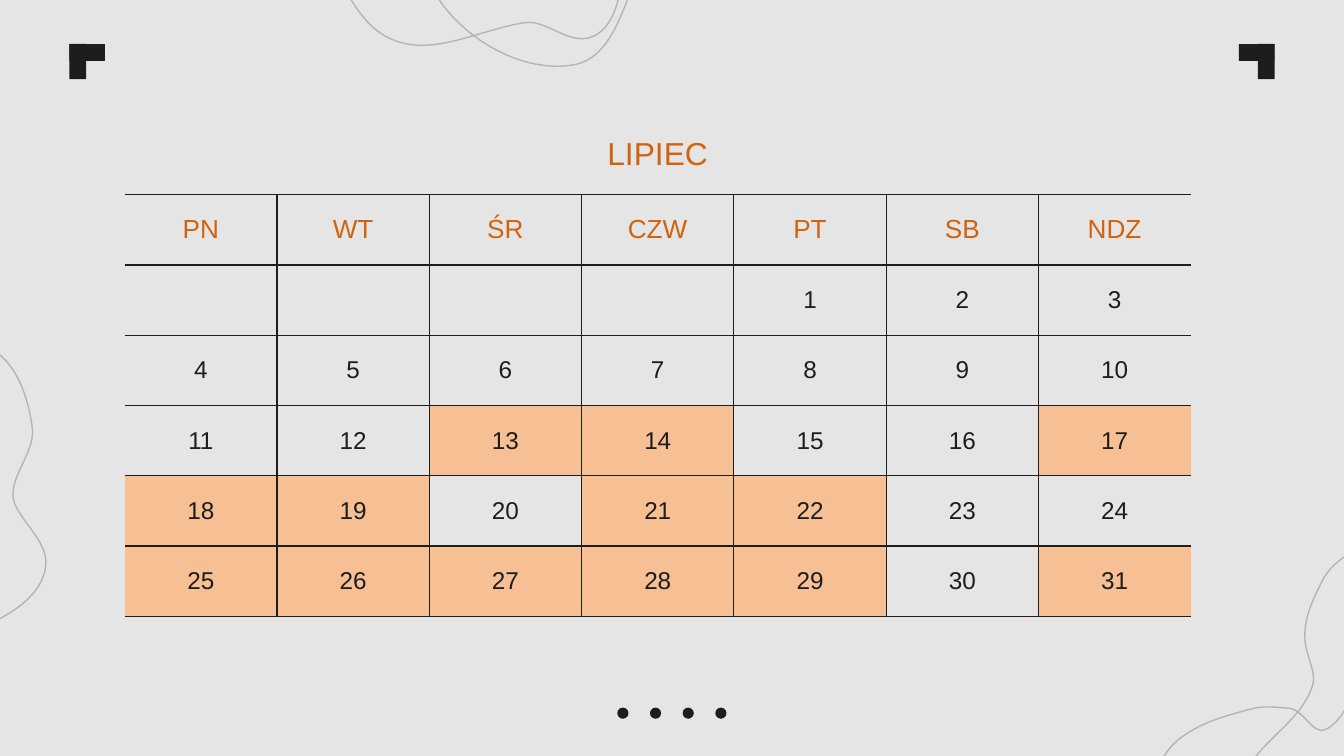
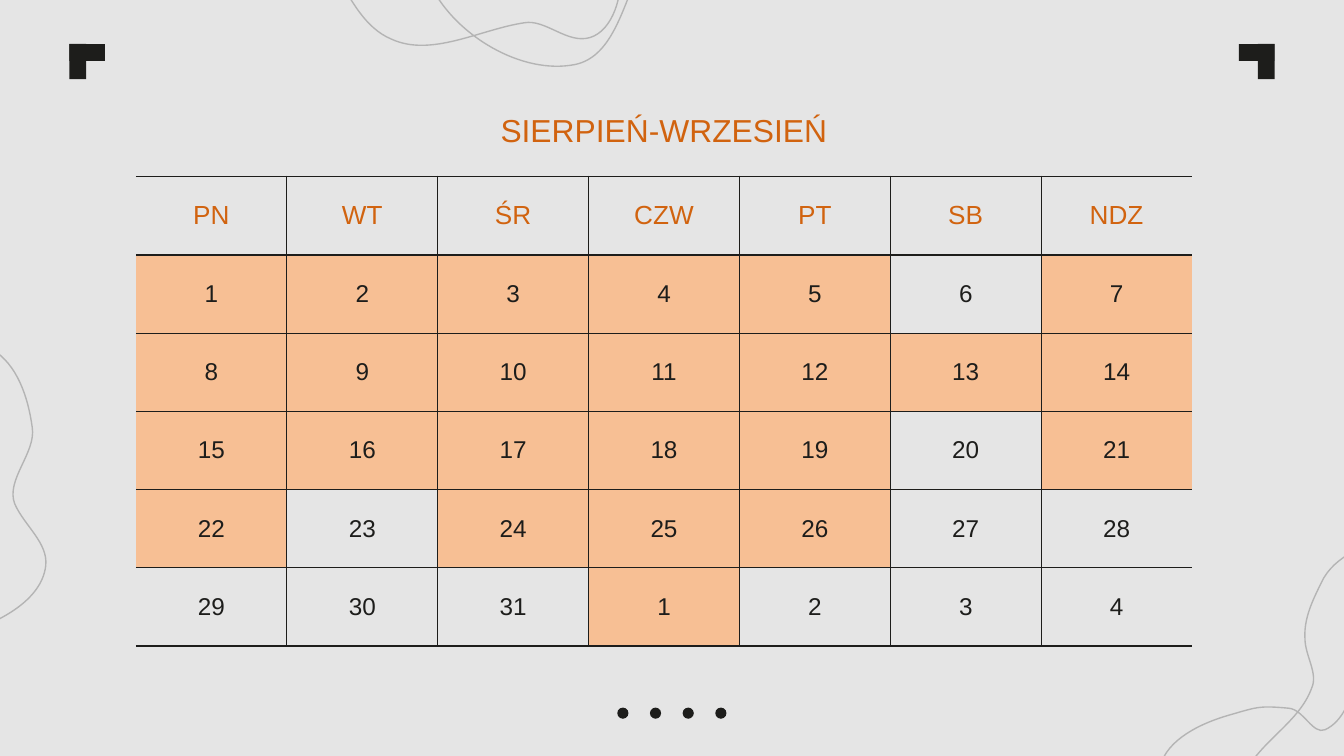
from dataclasses import dataclass
from typing import Any, Optional

import pptx
import pptx.dml.color
import pptx.enum.shapes
import pptx.enum.text
import pptx.oxml.ns
import pptx.util
from lxml import etree

RGBColor = pptx.dml.color.RGBColor
MSO_SHAPE = pptx.enum.shapes.MSO_SHAPE
qn = pptx.oxml.ns.qn

PAPER = RGBColor(0xE5, 0xE5, 0xE5)
INK = RGBColor(0x1D, 0x1D, 0x1B)
ORANGE = RGBColor(0xD1, 0x63, 0x0F)
PEACH = RGBColor(0xF7, 0xBF, 0x94)
GREY = RGBColor(0xB4, 0xB4, 0xB4)

SLIDE_W = pptx.util.Inches(10)
SLIDE_H = pptx.util.Inches(5.625)
GRID_COLS = 100
GRID_ROWS = 56.25
LINE_W = pptx.util.Pt(0.75)
WEEKDAYS = ("PN", "WT", "ŚR", "CZW", "PT", "SB", "NDZ")
WEEKS = 5
MONTH_LENGTH = 31


@dataclass(frozen=True)
class Mark:
    shape: Any
    col: float
    row: float
    cols: float
    rows: float
    rotation: float = 0


@dataclass(frozen=True)
class Calendar:
    title: str
    col: float
    row: float
    cols: float
    title_rows: float
    header_rows: float
    week_rows: float
    first_day: int
    marked: frozenset[int]


@dataclass(frozen=True)
class TextStyle:
    size: float
    color: RGBColor


TITLE = TextStyle(17, ORANGE)
WEEKDAY = TextStyle(14, ORANGE)
DAY = TextStyle(13, INK)

RIGHT_CORNER = (
    Mark(MSO_SHAPE.RECTANGLE, 93.6, 3.27, 1.25, 2.63),
    Mark(MSO_SHAPE.RECTANGLE, 92.88, 2.58, 1.25, 2.65, 270),
)
LEFT_CORNER = (
    Mark(MSO_SHAPE.RECTANGLE, 5.16, 3.27, 1.25, 2.63),
    Mark(MSO_SHAPE.RECTANGLE, 5.86, 2.58, 1.25, 2.65, 90),
)
DOTS = tuple(Mark(MSO_SHAPE.OVAL, 45.93 + 2.43 * i, 52.65, 0.83, 0.83)
             for i in range(4))

CURVES = (
    ((-4.3, 24.6), (-2.4, 25.3), (-2.3, 25.1), (-0.6, 26), (1.3, 27.1),
     (2.1, 29.6), (2.4, 31.8), (2.7, 33.7), (0.4, 35.7), (1.1, 37.5),
     (1.8, 39.1), (3.6, 40.4), (3.4, 42.1), (3.1, 44.7), (-0.1, 46.3),
     (-2.6, 47.1)),
    ((25.1, -1.8), (26.1, 0), (27.2, 2.1), (29.1, 2.9), (32.1, 4.3),
     (35.7, 2.2), (39, 1.7), (40.6, 1.4), (42.2, 3.3), (43.9, 2.8),
     (45.6, 2.3), (46.4, -0.4), (46.1, -2.2)),
    ((32.1, -1), (33.9, 2.6), (38.8, 5.6), (42.8, 4.8), (45.7, 4.2),
     (46.4, 0.2), (47.7, -2.4)),
    ((104.3, 39.3), (102.3, 40.4), (99.7, 41), (98.5, 43), (97.8, 44.4),
     (97, 45.9), (97.1, 47.5), (97.1, 48.8), (98.1, 50.1), (97.6, 51.2),
     (96.7, 53.7), (93.9, 55.1), (92.7, 57.4)),
    ((86.5, 59.4), (86.4, 58.2), (85.9, 58.2), (86.3, 57.1), (86.8, 55),
     (89.4, 53.8), (91.5, 53.2), (93.6, 52.6), (93.7, 52.5), (95.9, 52.7),
     (97, 52.8), (97.7, 54.7), (98.6, 54.3), (99.9, 53.7), (100.6, 52),
     (100.7, 50.6)),
)

CALENDARS = (
    Calendar("LIPIEC", 9.28, 8.52, 79.33, 5.94, 5.26, 5.23, -3,
             frozenset({13, 14, 17, 18, 19, 21, 22, *range(25, 30), 31})),
    Calendar("SIERPIEŃ-WRZESIEŃ", 10.12, 6.47, 78.58, 6.65, 5.86, 5.82, 1,
             frozenset({*range(1, 6), *range(7, 20), 21, 22, 24, 25, 26, 32})),
)


def x(cols: float) -> pptx.util.Emu:
    return pptx.util.Emu(round(SLIDE_W * cols / GRID_COLS))


def y(rows: float) -> pptx.util.Emu:
    return pptx.util.Emu(round(SLIDE_H * rows / GRID_ROWS))


def apply(target: Any, values: dict[str, Any]) -> None:
    for name, value in values.items():
        setattr(target, name, value)


def draw_mark(s: Any, mark: Mark) -> None:
    sp = s.shapes.add_shape(mark.shape, x(mark.col), y(mark.row),
                            x(mark.cols), y(mark.rows))
    sp.shadow.inherit = False
    sp.rotation = mark.rotation
    sp.fill.solid()
    sp.fill.fore_color.rgb = INK
    sp.line.fill.background()


def draw_curve(s: Any, nodes: tuple[tuple[float, float], ...]) -> None:
    points = [(x(col), y(row)) for col, row in nodes]
    builder = s.shapes.build_freeform(*points[0])
    builder.add_line_segments(points[3::3], close=False)
    sp = builder.convert_to_shape()
    segments = list(sp._element.iter(qn("a:lnTo")))
    for i, segment in enumerate(segments):
        segment.tag = qn("a:cubicBezTo")
        for k, (px, py) in enumerate(points[3 * i + 1:3 * i + 3]):
            pt = etree.Element(qn("a:pt"), x=str(px - sp.left),
                               y=str(py - sp.top))
            segment.insert(k, pt)
    sp.shadow.inherit = False
    sp.fill.background()
    sp.line.color.rgb = GREY
    sp.line.width = LINE_W


def set_borders(cell: Any, visible: str) -> None:
    tcPr = cell._tc.get_or_add_tcPr()
    for side in "LRTB":
        ln = etree.SubElement(tcPr, qn(f"a:ln{side}"), w=str(int(LINE_W)))
        if side in visible:
            fill = etree.SubElement(ln, qn("a:solidFill"))
            etree.SubElement(fill, qn("a:srgbClr"), val=str(INK))
        else:
            etree.SubElement(ln, qn("a:noFill"))


def fill_cell(cell: Any, text: str, style: TextStyle, borders: str,
              fill: Optional[RGBColor] = None) -> None:
    set_borders(cell, borders)
    if fill is None:
        cell.fill.background()
    else:
        cell.fill.solid()
        cell.fill.fore_color.rgb = fill
    inset_x, inset_y = x(1), y(0.9)
    apply(cell, {"vertical_anchor": pptx.enum.text.MSO_ANCHOR.MIDDLE,
                 "margin_left": inset_x, "margin_right": inset_x,
                 "margin_top": inset_y, "margin_bottom": inset_y})
    if text:
        p = cell.text_frame.paragraphs[0]
        p.alignment = pptx.enum.text.PP_ALIGN.CENTER
        r = p.add_run()
        r.text = text
        apply(r.font, {"name": "Arial", "size": pptx.util.Pt(style.size)})
        r.font.color.rgb = style.color


def draw_calendar(s: Any, cal: Calendar) -> None:
    days = len(WEEKDAYS)
    heights = [cal.title_rows, cal.header_rows] + [cal.week_rows] * WEEKS
    tbl = s.shapes.add_table(len(heights), days, x(cal.col), y(cal.row),
                             x(cal.cols), y(sum(heights))).table
    apply(tbl, {"first_row": False, "horz_banding": False})
    for column in tbl.columns:
        column.width = x(cal.cols / days)
    for row, height in zip(tbl.rows, heights):
        row.height = y(height)

    tbl.cell(0, 0).merge(tbl.cell(0, days - 1))
    for j, weekday in enumerate(WEEKDAYS):
        fill_cell(tbl.cell(0, j), "" if j else cal.title, TITLE, "B")
        borders = "TB" + ("L" if j else "") + ("R" if j < days - 1 else "")
        fill_cell(tbl.cell(1, j), weekday, WEEKDAY, borders)
        for week in range(WEEKS):
            day = cal.first_day + week * days + j
            label = str((day - 1) % MONTH_LENGTH + 1) if day > 0 else ""
            fill_cell(tbl.cell(week + 2, j), label, DAY, borders,
                      PEACH if day in cal.marked else None)


def draw_frame(s: Any) -> None:
    s.background.fill.solid()
    s.background.fill.fore_color.rgb = PAPER
    for mark in RIGHT_CORNER + DOTS:
        draw_mark(s, mark)
    for curve in CURVES:
        draw_curve(s, curve)
    for mark in LEFT_CORNER:
        draw_mark(s, mark)


def main() -> None:
    prs = pptx.Presentation()
    apply(prs, {"slide_width": SLIDE_W, "slide_height": SLIDE_H})
    for cal in CALENDARS:
        s = prs.slides.add_slide(prs.slide_layouts[6])
        draw_frame(s)
        draw_calendar(s, cal)
    prs.save("out.pptx")


if __name__ == "__main__":
    main()
